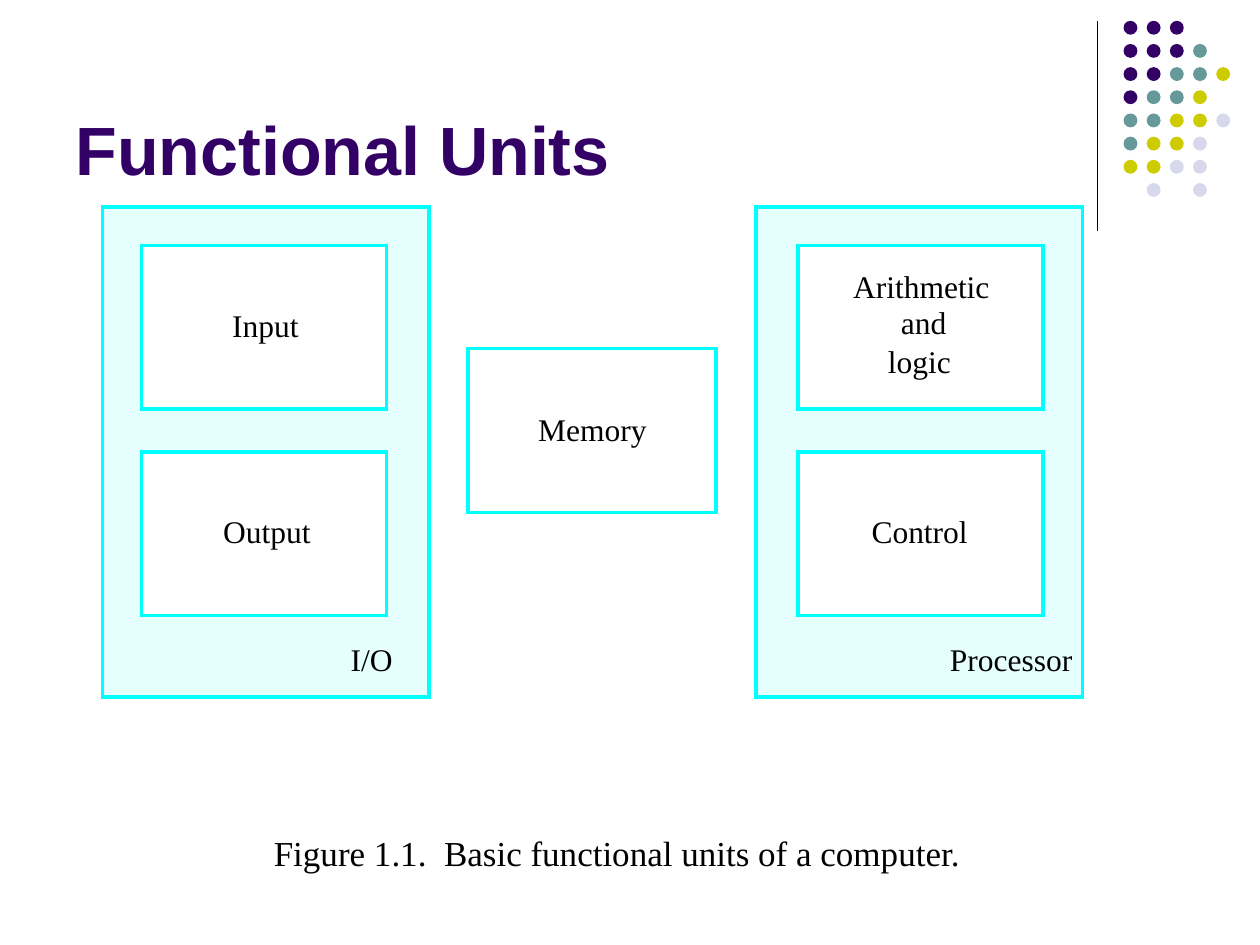
from typing import NamedTuple

from lxml import etree
from pptx import Presentation
from pptx.dml.color import RGBColor
from pptx.enum.shapes import MSO_CONNECTOR, MSO_SHAPE
from pptx.enum.text import MSO_ANCHOR, MSO_AUTO_SIZE, PP_ALIGN
from pptx.oxml.ns import qn
from pptx.util import Cm, Pt

RECTANGLE, OVAL = MSO_SHAPE.RECTANGLE, MSO_SHAPE.OVAL
STRAIGHT = MSO_CONNECTOR.STRAIGHT
BOTTOM, LEFT = MSO_ANCHOR.BOTTOM, PP_ALIGN.LEFT
FIT_SHAPE, NO_FIT = MSO_AUTO_SIZE.SHAPE_TO_FIT_TEXT, MSO_AUTO_SIZE.NONE

BLACK, WHITE, CYAN, PALE_CYAN = "000000", "FFFFFF", "00FFFF", "E5FFFF"
PURPLE, TEAL, OLIVE, LAVENDER = "330066", "669999", "CCCC00", "D8D8EC"


class Box(NamedTuple):
    """A rectangle, in centimetres."""
    left: float
    top: float
    width: float
    height: float
    fill: str | None = WHITE


class Label(NamedTuple):
    """A line of text, placed in centimetres."""
    text: str
    left: float
    top: float
    width: float
    height: float = 0.76
    size: float = 18


def rgb(value: str) -> RGBColor:
    return RGBColor.from_string(value)


def add_text(paragraph, text: str, font: str, size: float, color: str, bold: bool = False) -> None:
    run = paragraph.add_run()
    run.text = text
    run.font.name = font
    run.font.size = Pt(size)
    run.font.bold = bold
    run.font.color.rgb = rgb(color)


def draw_box(slide, box: Box) -> None:
    shape = slide.shapes.add_shape(RECTANGLE, *map(Cm, box[:4]))
    shape.shadow.inherit = False
    if box.fill:
        shape.fill.solid()
        shape.fill.fore_color.rgb = rgb(box.fill)
    else:
        shape.fill.background()
    shape.line.color.rgb = rgb(CYAN)
    shape.line.width = Pt(2)
    etree.SubElement(shape.line.fill._xPr, qn("a:miter"), lim="800000")


def draw_label(slide, label: Label) -> None:
    frame = slide.shapes.add_textbox(*map(Cm, label[1:5])).text_frame
    frame.margin_left = frame.margin_right = frame.margin_top = frame.margin_bottom = 0
    frame.word_wrap = False
    frame.auto_size = FIT_SHAPE
    add_text(frame.paragraphs[0], label.text, "Times New Roman", label.size, BLACK)


def draw_dot(slide, left: float, top: float, color: str) -> None:
    dot = slide.shapes.add_shape(OVAL, Cm(left), Cm(top), Cm(0.28), Cm(0.28))
    dot.shadow.inherit = False
    dot.fill.solid()
    dot.fill.fore_color.rgb = rgb(color)
    dot.line.fill.background()


def draw_corner(slide) -> None:
    rule = slide.shapes.add_connector(STRAIGHT, Cm(22.12), Cm(0.43), Cm(22.12), Cm(4.65))
    rule.line.color.rgb = rgb(BLACK)
    rule.line.width = Pt(0.75)
    etree.SubElement(rule.element.spPr, qn("a:effectLst"))

    # One letter per dot, a space where the grid is empty
    dot_colors = {"P": PURPLE, "T": TEAL, "O": OLIVE, "L": LAVENDER}
    dot_rows = ["PPP", "PPPT", "PPTTO", "PTTO", "TTOOL", "TOOL", "OOLL", " L L"]
    pitch = 3.27 / (len(dot_rows) - 1)
    for row, letters in enumerate(dot_rows):
        for column, letter in enumerate(letters):
            if letter in dot_colors:
                draw_dot(slide, 22.65 + column * pitch, 0.42 + row * pitch, dot_colors[letter])


def draw_title(slide, text: str) -> None:
    title = slide.shapes.title
    title.left, title.top, title.width, title.height = map(Cm, (1.27, 0.33, 20.96, 3.61))
    frame = title.text_frame
    frame.auto_size = NO_FIT
    frame.vertical_anchor = BOTTOM
    heading = frame.paragraphs[0]
    heading.alignment = LEFT
    add_text(heading, text, "Arial", 39, PURPLE, bold=True)


def main() -> None:
    prs = Presentation()
    prs.slide_width, prs.slide_height = Cm(25.4), Cm(19.05)
    slide = prs.slides.add_slide(prs.slide_layouts[5])

    draw_corner(slide)
    draw_title(slide, "Functional Units")

    # I/O and processor panels, each with two units stacked inside
    for panel_left, unit_left in ((2.07, 2.85), (15.24, 16.09)):
        draw_box(slide, Box(panel_left, 4.17, 6.58, 9.88, PALE_CYAN))
        for unit_top in (4.95, 9.11):
            draw_box(slide, Box(unit_left, unit_top, 4.94, 3.3))

    # Memory stands between the panels
    draw_box(slide, Box(9.44, 7.03, 5, 3.3, None))

    # Unit names, panel names and caption
    labels = [
        Label("Input", 4.68, 6.17, 1.45),
        Label("Output", 4.5, 10.33, 1.88),
        Label("I/O", 7.07, 12.9, 0.95),
        Label("Memory", 10.85, 8.26, 2.3),
        Label("Arithmetic", 17.2, 5.38, 2.85),
        Label("and", 18.16, 6.1, 1),
        Label("logic", 17.9, 6.89, 1.37),
        Label("Control", 17.57, 10.33, 2.05),
        Label("Processor", 19.15, 12.9, 2.58),
        Label("Figure 1.1.  Basic functional units of a computer.", 5.52, 16.77, 13.95, 0.84, 20),
    ]
    for label in labels:
        draw_label(slide, label)

    prs.save("out.pptx")


if __name__ == "__main__":
    main()
